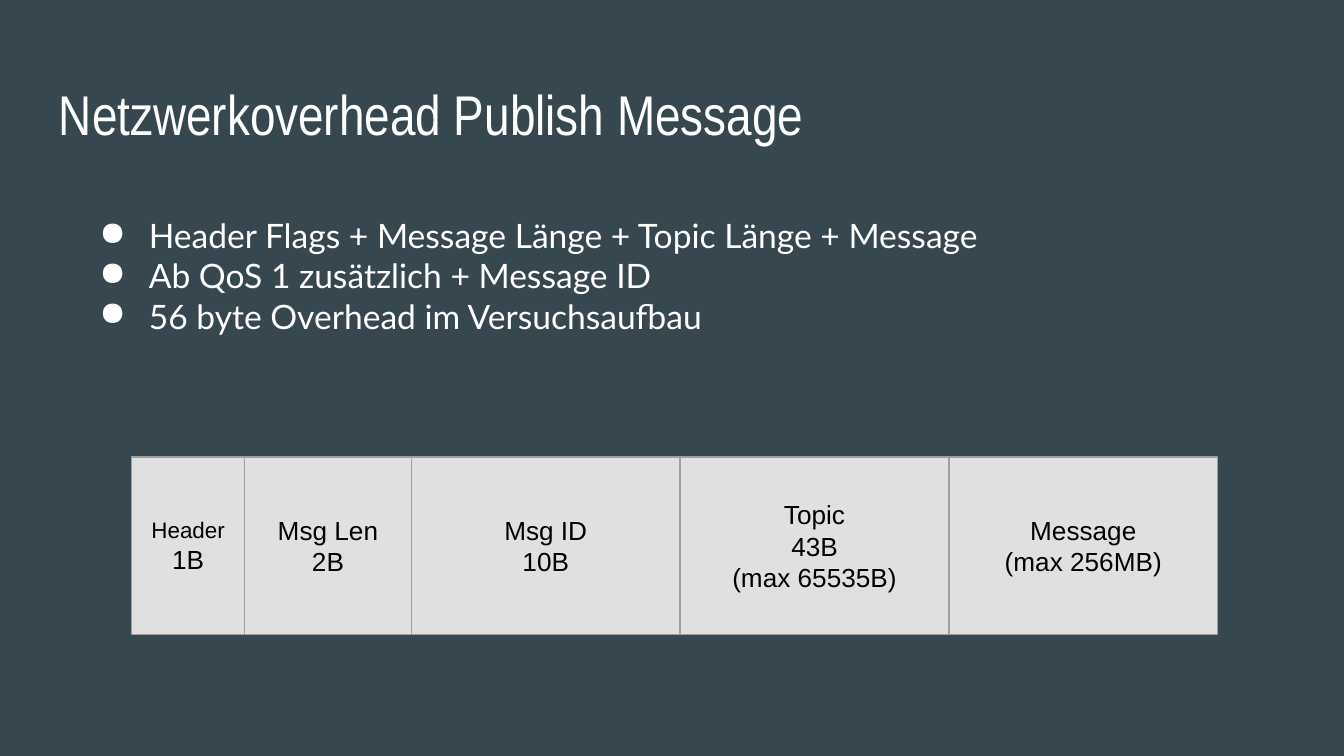
import dataclasses

import pptx
import pptx.dml.color
import pptx.enum.shapes
import pptx.enum.text
import pptx.oxml.ns
import pptx.util
from lxml import etree

Pt = pptx.util.Pt
ALIGN = pptx.enum.text.PP_ALIGN
ANCHOR = pptx.enum.text.MSO_ANCHOR


@dataclasses.dataclass(frozen=True)
class Theme:
    background: str = "37474F"
    light_text: str = "FFFFFF"
    dark_text: str = "000000"
    field_fill: str = "E0E0E0"
    field_line: str = "9E9E9E"
    title_font: str = "Arial Narrow"
    body_font: str = "Lato"
    field_font: str = "Arial"
    title_size: float = 30
    body_size: float = 18
    field_size: float = 14
    small_size: float = 12


THEME = Theme()

BULLETS = [
    "Header Flags + Message Länge + Topic Länge + Message",
    "Ab QoS 1 zusätzlich + Message ID",
    "56 byte Overhead im Versuchsaufbau",
]

# Width in points, lines of text, size of the first line
FIELDS = [
    (60.5, ["Header", "1B"], THEME.small_size),
    (89.3, ["Msg Len", "2B"], THEME.field_size),
    (144, ["Msg ID", "10B"], THEME.field_size),
    (144, ["Topic", "43B", "(max 65535B)"], THEME.field_size),
    (144, ["Message", "(max 256MB)"], THEME.field_size),
]
FIELDS_LEFT, FIELDS_TOP, FIELDS_HEIGHT = 70.6, 244.8, 95


def rgb(code):
    return pptx.dml.color.RGBColor.from_string(code)


def add_bullet(para, color, indent=36, hanging=26.6):
    properties = para._p.get_or_add_pPr()
    properties.set("marL", str(Pt(indent)))
    properties.set("indent", str(-Pt(hanging)))
    qn = pptx.oxml.ns.qn
    bullet_color = etree.SubElement(properties, qn("a:buClr"))
    etree.SubElement(bullet_color, qn("a:srgbClr"), val=color)
    etree.SubElement(properties, qn("a:buChar"), char="●")


def write_text(box, lines, *, font, size, color, first_size=None,
               align=ALIGN.LEFT, anchor=ANCHOR.TOP, bullets=False):
    """Fill a box with one paragraph per line; first_size overrides the first."""
    frame = box.text_frame
    frame.word_wrap = True
    frame.vertical_anchor = anchor
    frame.margin_left = frame.margin_right = Pt(7.2)
    frame.margin_top = frame.margin_bottom = Pt(7.2)
    for index, line in enumerate(lines):
        para = frame.add_paragraph() if index else frame.paragraphs[0]
        para.alignment = align
        if bullets:
            add_bullet(para, color)
        span = para.add_run()
        span.text = line
        span.font.name = font
        span.font.size = Pt(first_size if first_size and index == 0 else size)
        span.font.color.rgb = rgb(color)


def add_text_box(page, left, top, width, height, lines, **text_format):
    box = page.shapes.add_textbox(Pt(left), Pt(top), Pt(width), Pt(height))
    write_text(box, lines, **text_format)


def add_field(page, left, width, lines, first_size):
    """Draw one field of the message layout."""
    box = page.shapes.add_shape(
        pptx.enum.shapes.MSO_SHAPE.RECTANGLE,
        Pt(left), Pt(FIELDS_TOP), Pt(width), Pt(FIELDS_HEIGHT))
    box.shadow.inherit = False
    box.fill.solid()
    box.fill.fore_color.rgb = rgb(THEME.field_fill)
    box.line.color.rgb = rgb(THEME.field_line)
    box.line.width = Pt(0.75)
    write_text(box, lines, font=THEME.field_font, size=THEME.field_size,
               first_size=first_size, color=THEME.dark_text,
               align=ALIGN.CENTER, anchor=ANCHOR.MIDDLE)


def main():
    deck = pptx.Presentation()
    deck.slide_width, deck.slide_height = Pt(720), Pt(405)
    page = deck.slides.add_slide(deck.slide_layouts[6])
    page.background.fill.solid()
    page.background.fill.fore_color.rgb = rgb(THEME.background)

    add_text_box(page, 24.5, 35.3, 671, 45.4,
                 ["Netzwerkoverhead Publish Message"],
                 font=THEME.title_font, size=THEME.title_size,
                 color=THEME.light_text)
    add_text_box(page, 36.7, 108, 630.7, 104.4, BULLETS,
                 font=THEME.body_font, size=THEME.body_size,
                 color=THEME.light_text, bullets=True)

    left = FIELDS_LEFT
    for width, lines, first_size in FIELDS:
        add_field(page, left, width, lines, first_size)
        left += width

    deck.save("out.pptx")


if __name__ == "__main__":
    main()
